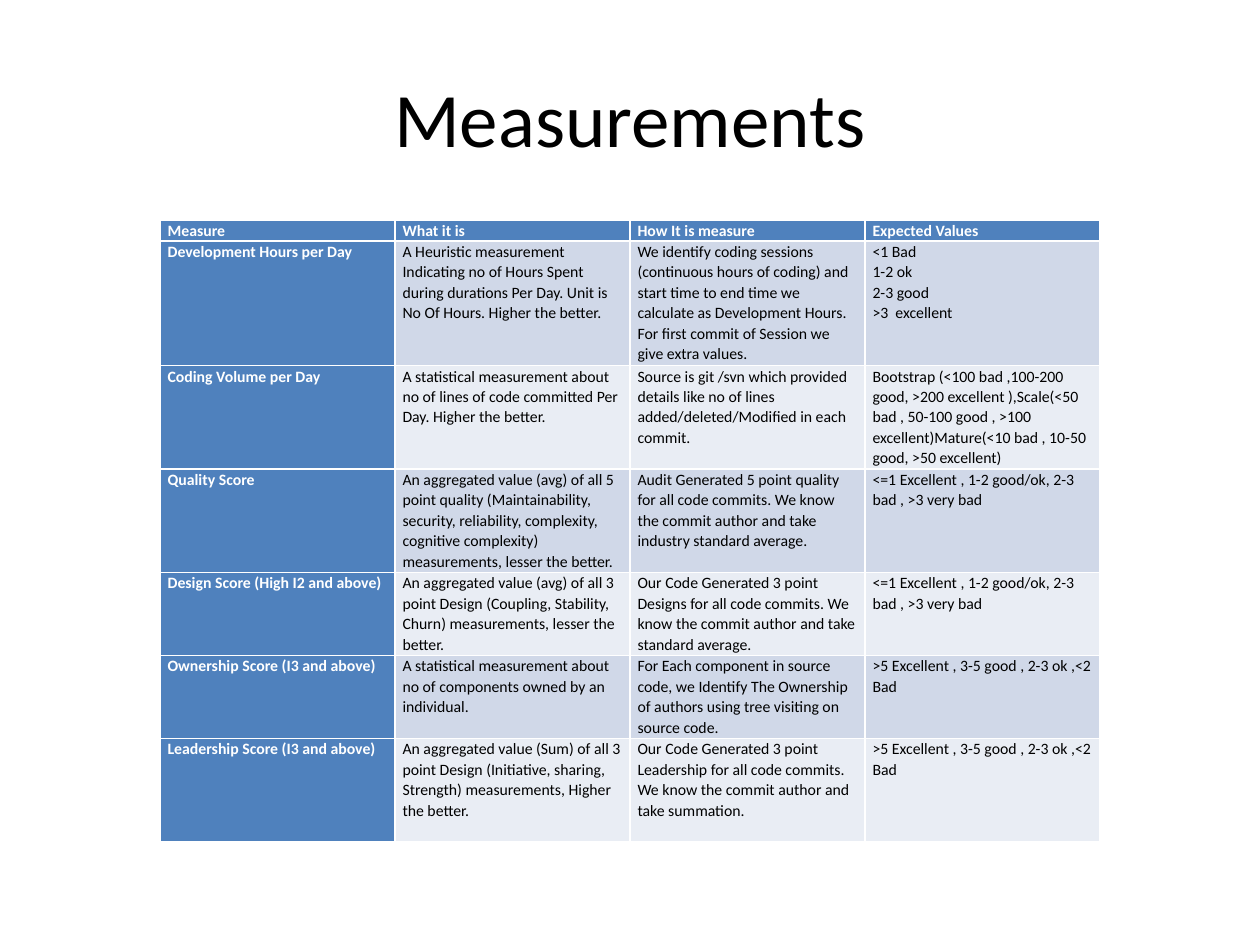
"""Build the Measurements slide: a title above a table of developer measures."""
from pptx import Presentation, util as u
from pptx.dml.color import RGBColor
from pptx.enum import text


def color(value):
    return RGBColor.from_string(value)


def add_run(p, content, size, value, bold=False):
    r = p.add_run()
    r.text = content
    r.font.name = "Calibri"
    r.font.size = u.Pt(size)
    r.font.bold = bold
    r.font.color.rgb = color(value)


rows = [
    ["Measure", "What it is", "How It is measure", "Expected Values"],
    ["Development Hours per Day",
     "A Heuristic measurement Indicating no of Hours Spent during durations Per Day. "
     "Unit is No Of Hours. Higher the better.",
     "We identify coding sessions (continuous hours of coding) and start time to end time "
     "we calculate as Development Hours. For first commit of Session we give extra values.",
     "<1 Bad\n1-2 ok\n2-3 good\n>3  excellent"],
    ["Coding Volume per Day",
     "A statistical measurement about no of lines of code committed Per Day. Higher the better.",
     "Source is git /svn which provided details like no of lines added/deleted/Modified "
     "in each commit.",
     "Bootstrap (<100 bad ,100-200 good, >200 excellent ),Scale(<50 bad , 50-100 good , "
     ">100 excellent)Mature(<10 bad , 10-50 good, >50 excellent)"],
    ["Quality Score",
     "An aggregated value (avg) of all 5 point quality (Maintainability, security, "
     "reliability, complexity, cognitive complexity) measurements, lesser the better.",
     "Audit Generated 5 point quality for all code commits. We know the commit author "
     "and take industry standard average.",
     "<=1 Excellent , 1-2 good/ok, 2-3 bad , >3 very bad"],
    ["Design Score (High I2 and above)",
     "An aggregated value (avg) of all 3 point Design (Coupling, Stability,  Churn) "
     "measurements, lesser the better.",
     "Our Code Generated 3 point Designs for all code commits. We know the commit author "
     "and take standard average.",
     "<=1 Excellent , 1-2 good/ok, 2-3 bad , >3 very bad"],
    ["Ownership Score (I3 and above)",
     "A statistical measurement about no of components owned by an individual.",
     "For Each component in source code, we Identify The Ownership of authors using tree "
     "visiting on source code.",
     ">5 Excellent , 3-5 good , 2-3 ok ,<2 Bad"],
    ["Leadership Score (I3 and above)",
     "An aggregated value (Sum) of all 3 point Design (Initiative, sharing, Strength) "
     "measurements, Higher the better.",
     "Our Code Generated 3 point Leadership for all code commits. We know the commit author "
     "and take summation.",
     ">5 Excellent , 3-5 good , 2-3 ok ,<2 Bad"],
]
heights = [0.16, 0.99, 0.82, 0.82, 0.66, 0.66, 0.82]

prs = Presentation()
prs.slide_width, prs.slide_height = u.Inches(10), u.Inches(7.5)
s = prs.slides.add_slide(prs.slide_layouts[5])

title = s.shapes.title
title.left, title.top = u.Inches(0.5), u.Inches(0.3)
title.width, title.height = u.Inches(9), u.Inches(1.25)
tf = title.text_frame
tf.vertical_anchor = text.MSO_ANCHOR.MIDDLE
tf.paragraphs[0].alignment = text.PP_ALIGN.CENTER
add_run(tf.paragraphs[0], "Measurements", 44, "000000")

table = s.shapes.add_table(len(rows), 4, u.Inches(1.27), u.Inches(1.75),
                           u.Inches(7.46), u.Inches(sum(heights))).table
table.first_col = True
for row, height in zip(table.rows, heights):
    row.height = u.Inches(height)

for i, row in enumerate(rows):
    for j, content in enumerate(row):
        cell = table.cell(i, j)
        heading = i == 0 or j == 0
        band = "D0D8E8" if i % 2 else "E9EDF4"
        cell.fill.solid()
        cell.fill.fore_color.rgb = color("4F81BD" if heading else band)
        cell.margin_left = cell.margin_right = u.Inches(0.06)
        cell.margin_top = cell.margin_bottom = 0
        tf = cell.text_frame
        for k, line in enumerate(content.split("\n")):
            p = tf.add_paragraph() if k else tf.paragraphs[0]
            p.line_spacing = 1.07
            p.space_before = u.Pt(2 if i == 0 else 10 if j == 0 else 0)
            add_run(p, line, 9, "FFFFFF" if heading else "000000", heading)

prs.save("out.pptx")
